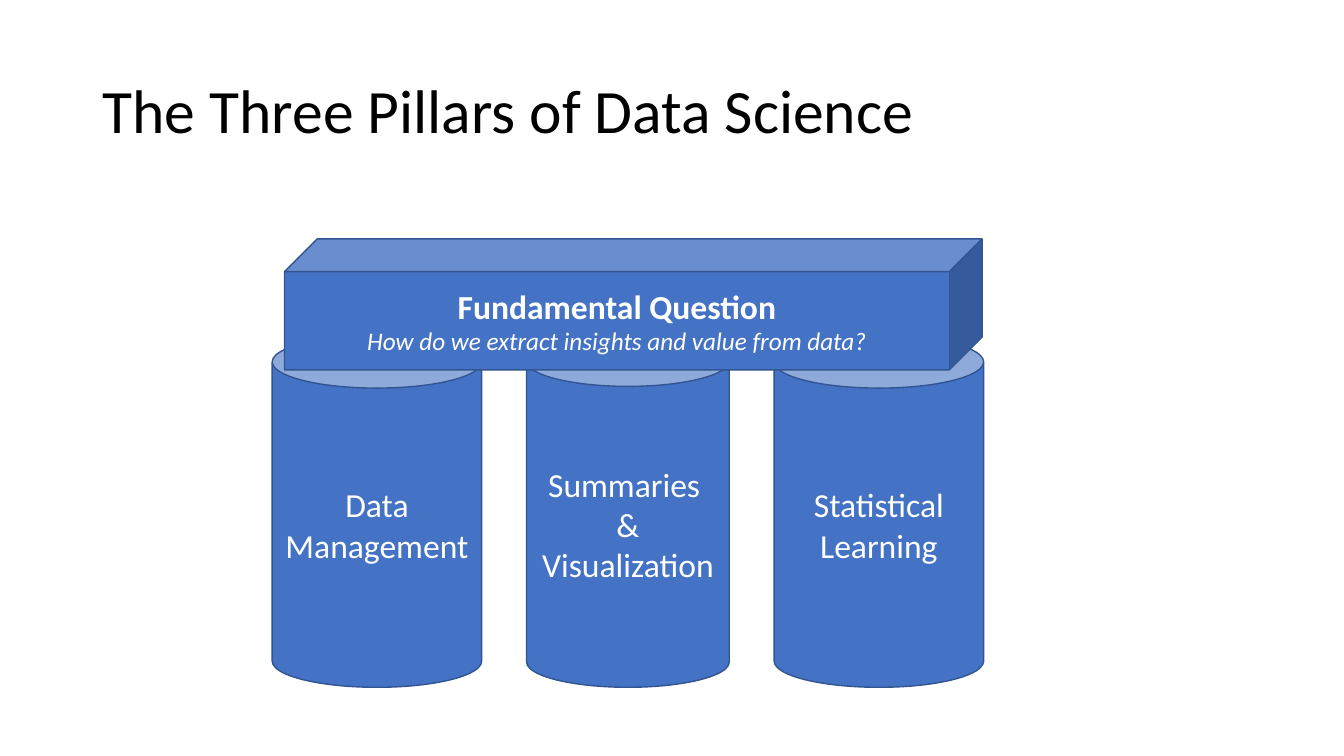
"""Build the slide on the three pillars of data science."""
from pptx import Presentation
from pptx.dml.color import RGBColor
from pptx.enum.shapes import MSO_SHAPE
from pptx.enum.text import MSO_ANCHOR, MSO_AUTO_SIZE, PP_ALIGN
from pptx.util import Cm, Pt

TITLE = "The Three Pillars of Data Science"
LABEL = {"name": "Calibri", "size": Pt(24)}
PILLARS = [
    (5.28, ["Data Management"]),
    (5.11, ["Summaries ", "&", "Visualization"]),
    (5.28, ["Statistical Learning"]),
]
BEAM = [
    ("Fundamental Question", {**LABEL, "bold": True}),
    ("How do we extract insights and value from data?",
     {**LABEL, "size": Pt(18), "italic": True}),
]
BLUE, EDGE, WHITE, BLACK = "4472C4", "325491", "FFFFFF", "000000"
PILLAR_LEFT, PILLAR_TOP, PILLAR_HEIGHT, PILLAR_GAP = 6.86, 8.46, 8.86, 1.13


def colour(value):
    return RGBColor.from_string(value)


def write(frame, lines, ink, align):
    frame.word_wrap = True
    frame.auto_size = MSO_AUTO_SIZE.NONE
    frame.vertical_anchor = MSO_ANCHOR.MIDDLE
    for index, (line, style) in enumerate(lines):
        paragraph = frame.paragraphs[0] if index == 0 else frame.add_paragraph()
        paragraph.alignment = align
        run = paragraph.add_run()
        run.text = line
        for key, value in style.items():
            setattr(run.font, key, value)
        run.font.color.rgb = colour(ink)


def add_block(slide, kind, box, lines):
    block = slide.shapes.add_shape(kind, *map(Cm, box))
    block.shadow.inherit = False
    block.fill.solid()
    block.fill.fore_color.rgb = colour(BLUE)
    block.line.color.rgb = colour(EDGE)
    block.line.width = Pt(1)
    write(block.text_frame, lines, WHITE, PP_ALIGN.CENTER)


def main():
    deck = Presentation()
    deck.slide_width, deck.slide_height = Cm(33.87), Cm(19.05)
    slide = deck.slides.add_slide(deck.slide_layouts[5])

    title = slide.shapes.title
    title.left, title.top, title.width, title.height = map(Cm, (2.33, 1.01, 29.21, 3.68))
    write(title.text_frame, [(TITLE, {**LABEL, "size": Pt(44)})], BLACK, PP_ALIGN.LEFT)
    title.text_frame.paragraphs[0].line_spacing = 0.9

    left = PILLAR_LEFT
    for width, lines in PILLARS:
        add_block(slide, MSO_SHAPE.CAN, (left, PILLAR_TOP, width, PILLAR_HEIGHT),
                  [(line, LABEL) for line in lines])
        left += width + PILLAR_GAP
    add_block(slide, MSO_SHAPE.CUBE, (7.17, 6.02, 17.58, 3.3), BEAM)

    deck.save("out.pptx")


if __name__ == "__main__":
    main()
